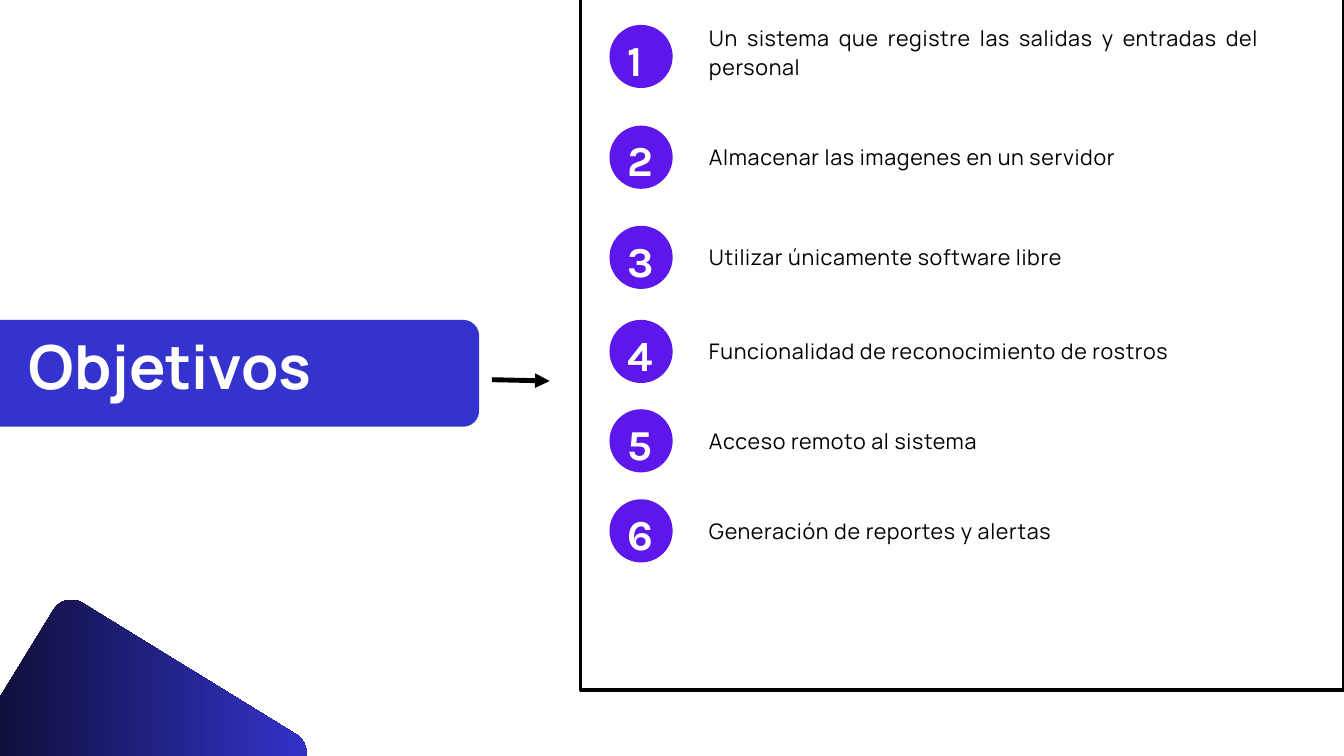
from lxml.etree import SubElement
from pptx import Presentation
from pptx.dml.color import RGBColor
from pptx.enum.shapes import MSO_CONNECTOR, MSO_SHAPE
from pptx.enum.text import MSO_AUTO_SIZE, PP_ALIGN
from pptx.oxml.ns import qn
from pptx.util import Inches, Pt

COLORS = {
    "paper": "FFFFFF",
    "ink": "000000",
    "bar": "3533CD",
    "badge": "5E17EB",
}

presentation = Presentation()
presentation.slide_width = Inches(20)
presentation.slide_height = Inches(11.25)
slide = presentation.slides.add_slide(presentation.slide_layouts[6])
column = presentation.slide_width / 20
row = presentation.slide_height / 11.25


def add_block(kind, left, top, width, height, color):
    shape = slide.shapes.add_shape(
        kind, int(left * column), int(top * row), int(width * column), int(height * row)
    )
    shape.shadow.inherit = False
    shape.fill.solid()
    shape.fill.fore_color.rgb = RGBColor.from_string(COLORS[color])
    shape.line.fill.background()
    return shape


def add_text(text, left, top, width, height, font_name, size, spacing, color, bold=False):
    box = slide.shapes.add_textbox(
        int(left * column), int(top * row), int(width * column), int(height * row)
    )
    frame = box.text_frame
    frame.margin_left = frame.margin_top = frame.margin_right = frame.margin_bottom = 0
    frame.word_wrap = True
    frame.auto_size = MSO_AUTO_SIZE.SHAPE_TO_FIT_TEXT
    frame.text = text
    paragraph = frame.paragraphs[0]
    paragraph.line_spacing = Pt(spacing)
    font = paragraph.runs[0].font
    font.name = font_name
    font.size = Pt(size)
    font.bold = bold
    font.color.rgb = RGBColor.from_string(COLORS[color])
    return paragraph


panel = add_block(MSO_SHAPE.RECTANGLE, 8.64, -0.04, 11.36, 10.31, "paper")
panel.line.color.rgb = RGBColor.from_string(COLORS["ink"])
panel.line.width = Pt(3.75)

title_bar = add_block(MSO_SHAPE.ROUNDED_RECTANGLE, -0.71, 4.76, 7.84, 1.59, "bar")
title_bar.adjustments[0] = 0.15
add_text("Objetivos", 0.43, 5.08, 6.01, 1.01, "Manrope", 65, 65, "paper", True)

arrow = slide.shapes.add_connector(
    MSO_CONNECTOR.STRAIGHT,
    int(7.32 * column), int(5.65 * row), int(8.18 * column), int(5.67 * row),
)
arrow.line.color.rgb = RGBColor.from_string(COLORS["ink"])
arrow.line.width = Pt(5.25)
SubElement(arrow.line._get_or_add_ln(), qn("a:tailEnd"), type="triangle")
SubElement(arrow._element.spPr, qn("a:effectLst"))

corner = add_block(MSO_SHAPE.ROUNDED_RECTANGLE, -1.35, 10.1, 5.47, 4.36, "bar")
corner.adjustments[0] = 0.07
corner.rotation = 301.6
corner.fill.gradient()
corner.fill.gradient_angle = 0
for stop, color in zip(corner.fill.gradient_stops, ("ink", "bar")):
    stop.color.rgb = RGBColor.from_string(COLORS[color])
corner._element.spPr.find(qn("a:gradFill")).set("rotWithShape", "0")

objectives = [
    (0.37, 2, "Un sistema que registre las salidas y entradas del personal"),
    (1.87, 1, "Almacenar las imagenes en un servidor"),
    (3.36, 1, "Utilizar únicamente software libre"),
    (4.76, 1, "Funcionalidad de reconocimiento de rostros"),
    (6.09, 1, "Acceso remoto al sistema"),
    (7.43, 1, "Generación de reportes y alertas"),
]
for number, (top, lines, objective) in enumerate(objectives, start=1):
    add_block(MSO_SHAPE.OVAL, 9.07, top, 0.94, 0.94, "badge")
    add_text(str(number), 9.34, top, 0.4, 0.85, "Karla", 45.7, 64, "paper", True)
    text_top = top + 0.23 if lines == 1 else top - 0.05
    paragraph = add_text(
        objective, 10.55, text_top, 8.19, 0.43 * lines, "Manrope", 23, 31, "ink"
    )
    paragraph.alignment = PP_ALIGN.JUSTIFY
    paragraph.runs[0].font._element.set("spc", "70")

presentation.save("out.pptx")
